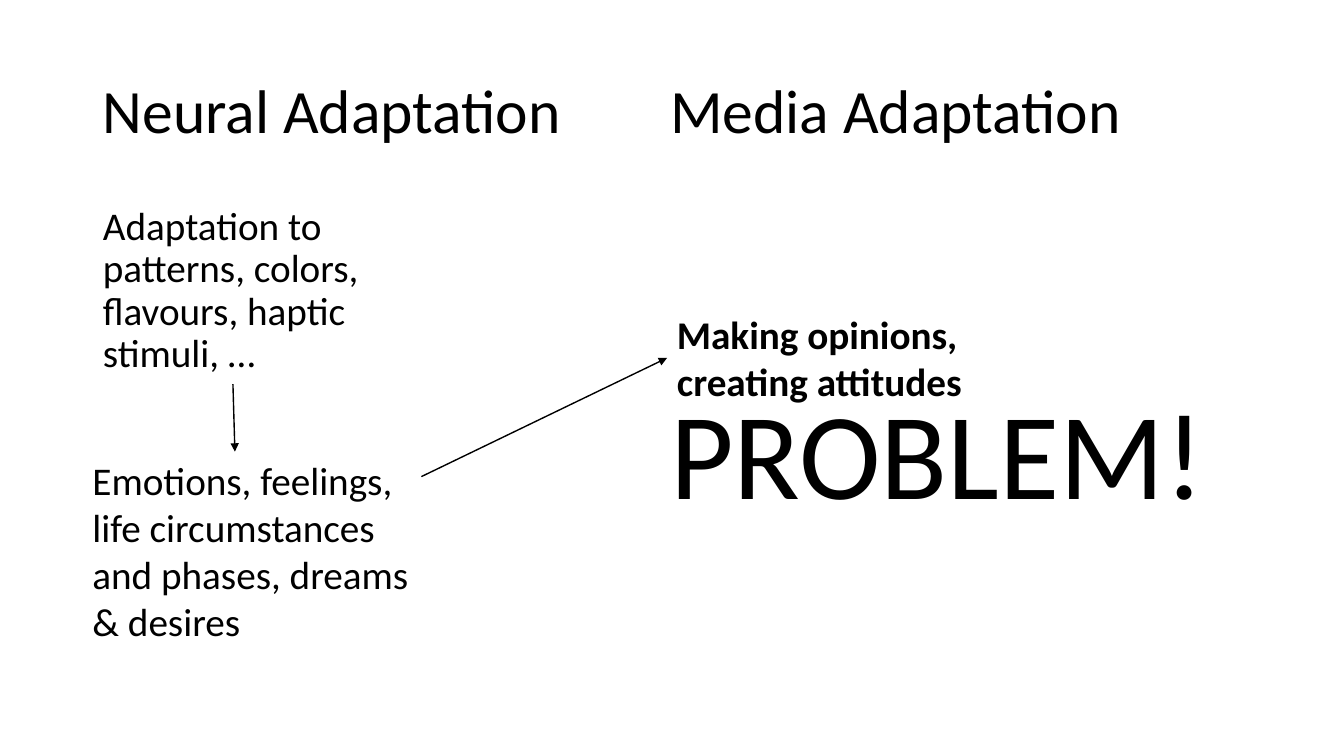
from dataclasses import dataclass

from lxml import etree
from pptx import Presentation
from pptx.dml.color import RGBColor
from pptx.enum import shapes, text
from pptx.oxml import ns
from pptx.util import Cm, Pt


@dataclass(frozen=True)
class Theme:
    """Colours, font and type sizes of the slide."""
    font: str = "Calibri"
    ink: RGBColor = RGBColor(0, 0, 0)
    heading: int = 44
    body: int = 28
    shout: int = 88
    line: int = 1


@dataclass(frozen=True)
class Block:
    """A piece of text with its place in centimetres."""
    words: str
    box: tuple[float, float, float, float]
    size: int
    bold: bool = False
    spacing: float = 1.0
    before: int = 0
    middle: bool = False


@dataclass(frozen=True)
class Arrow:
    """An arrow between two points in centimetres."""
    start: tuple[float, float]
    end: tuple[float, float]


THEME = Theme()

TITLE = Block("Neural Adaptation", (2.34, 1.02, 29.21, 3.68), THEME.heading,
              spacing=0.9, middle=True)
STIMULI = Block("Adaptation to patterns, colors, flavours, haptic stimuli, …",
                (2.34, 5.08, 8.05, 4.57), THEME.body, spacing=0.9, before=10)
TEXT_BOXES = [
    Block("Emotions, feelings, life circumstances and phases, dreams & desires",
          (2.08, 11.38, 8.99, 5.05), THEME.body),
    Block("Making opinions, creating attitudes",
          (16.81, 7.7, 10.87, 2.64), THEME.body, bold=True),
    Block("Media Adaptation", (16.64, 1.02, 14.91, 3.68), THEME.heading,
          spacing=0.9, middle=True),
    Block("PROBLEM!", (16.64, 9.37, 14.43, 4.01), THEME.shout),
]
ARROWS = [
    Arrow((5.87, 9.68), (5.92, 11.38)),
    Arrow((10.62, 12.01), (16.81, 9.02)),
]


def fill_text(sp, block: Block) -> None:
    """Place a text shape and set its words and format."""
    sp.left, sp.top, sp.width, sp.height = map(Cm, block.box)
    tf = sp.text_frame
    tf.text = block.words
    tf.word_wrap = True
    tf.auto_size = text.MSO_AUTO_SIZE.NONE
    anchors = text.MSO_ANCHOR
    tf.vertical_anchor = anchors.MIDDLE if block.middle else anchors.TOP
    p = tf.paragraphs[0]
    p.alignment = text.PP_ALIGN.LEFT
    p.line_spacing = block.spacing
    p.space_before = Pt(block.before)
    font = p.runs[0].font
    font.name, font.size, font.bold = THEME.font, Pt(block.size), block.bold
    font.color.rgb = THEME.ink


def remove_bullet(p) -> None:
    """Take the bullet and hanging indent off a paragraph."""
    props = p._p.get_or_add_pPr()
    props.set("marL", "0")
    props.set("indent", "0")
    etree.SubElement(props, ns.qn("a:buNone"))


def draw_arrow(s, arrow: Arrow) -> None:
    """Draw a thin line with a triangle at its end."""
    line = s.shapes.add_connector(shapes.MSO_CONNECTOR.STRAIGHT,
                                  *map(Cm, arrow.start + arrow.end))
    line.line.color.rgb = THEME.ink
    line.line.width = Pt(THEME.line)
    etree.SubElement(line.line._get_or_add_ln(), ns.qn("a:tailEnd"),
                     type="triangle")
    etree.SubElement(line._element.spPr, ns.qn("a:effectLst"))


def build() -> None:
    """Build the slide and save it."""
    prs = Presentation()
    prs.slide_width, prs.slide_height = Cm(33.87), Cm(19.05)
    s = prs.slides.add_slide(prs.slide_layouts[1])
    fill_text(s.shapes.title, TITLE)
    body = s.placeholders[1]
    fill_text(body, STIMULI)
    remove_bullet(body.text_frame.paragraphs[0])
    for block in TEXT_BOXES:
        fill_text(s.shapes.add_textbox(*map(Cm, block.box)), block)
    for arrow in ARROWS:
        draw_arrow(s, arrow)
    prs.save("out.pptx")


build()
